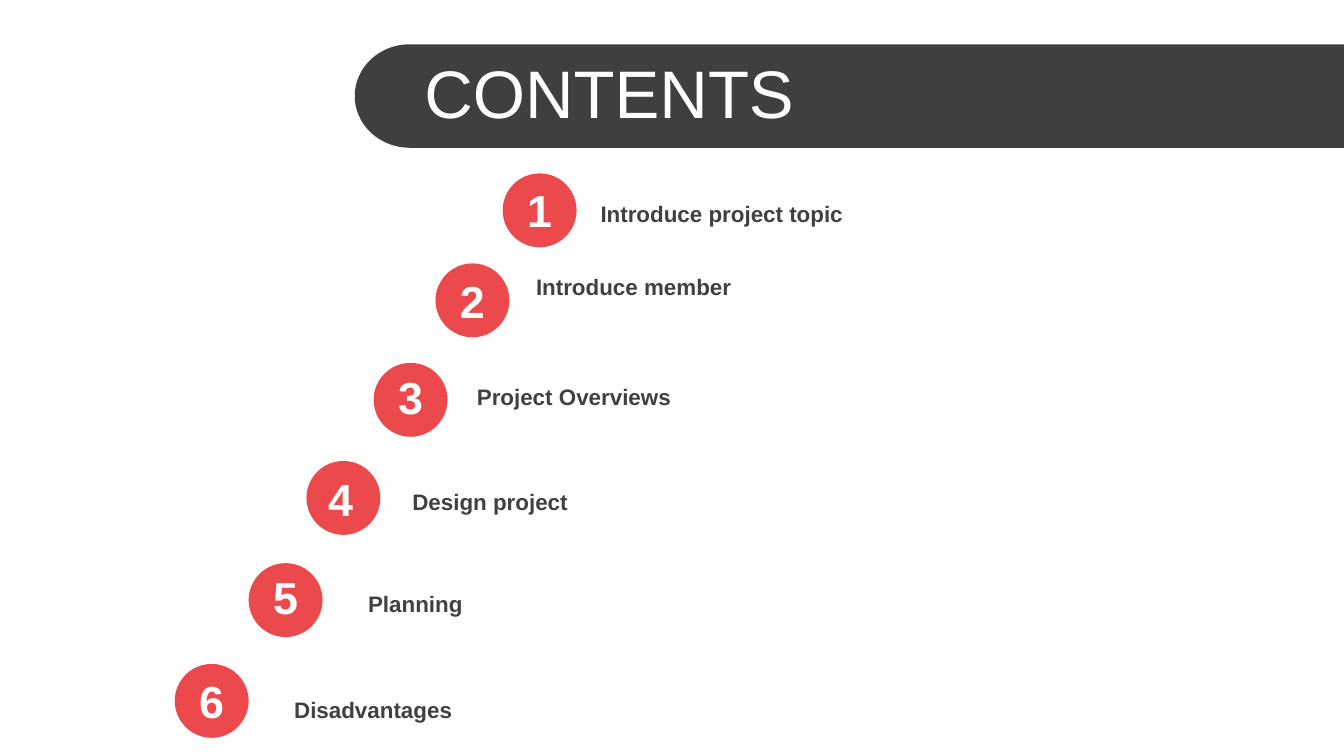
from copy import deepcopy
from dataclasses import dataclass
from math import cos, pi, sin

from pptx import Presentation
from pptx.dml.color import RGBColor
from pptx.enum import shapes, text
from pptx.util import Inches, Pt


@dataclass(frozen=True)
class Theme:
    font: str = "Arial"
    banner: RGBColor = RGBColor(0x3F, 0x3F, 0x3F)
    accent: RGBColor = RGBColor(0xEB, 0x49, 0x4B)
    ink: RGBColor = RGBColor(0x40, 0x40, 0x40)
    white: RGBColor = RGBColor(0xFF, 0xFF, 0xFF)
    title_size: int = 36
    number_size: int = 24
    label_size: int = 12


THEME = Theme()
CIRCLE = 0.55
NUMBER_HEIGHT = 0.5
LINE_HEIGHT = 0.2
LABEL_PADDING = 0.1

# circle left and top, number shift (x, y), label shift (x, y), label width, label
ITEMS = [
    (3.74, 1.29, (0, 0.02), (0.63, 0.15), 5.04, "Introduce project topic"),
    (3.24, 1.96, (0, 0.03), (0.65, 0.02), 5.04, "Introduce member\n"),
    (2.78, 2.70, (0, 0), (0.67, 0.10), 3.53, "Project Overviews\n"),
    (2.28, 3.43, (-0.02, 0.03), (0.69, 0.15), 3.53, "Design project"),
    (1.85, 4.19, (0, 0), (0.79, 0.15), 5.15, "Planning"),
    (1.30, 4.94, (0, 0.02), (0.79, 0.19), 5.49, "Disadvantages"),
]


def paint(shape, color):
    shape.shadow.inherit = False
    shape.fill.solid()
    shape.fill.fore_color.rgb = color
    shape.line.fill.background()


def add_text(slide, box, words, size, color, bold=False, align=text.PP_ALIGN.LEFT):
    """Text box with one run; a final newline becomes a line break of the same size."""
    frame = slide.shapes.add_textbox(*map(Inches, box)).text_frame
    frame.word_wrap = True
    frame.vertical_anchor = text.MSO_ANCHOR.MIDDLE
    paragraph = frame.paragraphs[0]
    paragraph.alignment = align
    run = paragraph.add_run()
    run.text = words.rstrip("\n")
    run.font.name = THEME.font
    run.font.size = Pt(size)
    run.font.bold = bold
    run.font.color.rgb = color
    if words.endswith("\n"):
        paragraph.add_line_break()
        paragraph._p[-1].append(deepcopy(run._r.rPr))
    return frame


def add_banner(slide, left, top, width, height):
    """Bar with a rounded left end that runs to the right edge."""
    radius_x, radius_y, steps = 0.41, height / 2, 60
    center_x, center_y = left + radius_x, top + radius_y
    angles = [pi / 2 + pi * step / steps for step in range(steps + 1)]
    arc = [(Inches(center_x + radius_x * cos(angle)),
            Inches(center_y + radius_y * sin(angle))) for angle in angles]
    right, bottom = Inches(left + width), Inches(top + height)
    builder = slide.shapes.build_freeform(right, Inches(top))
    builder.add_line_segments([(right, bottom), *arc], close=True)
    paint(builder.convert_to_shape(), THEME.banner)
    add_text(slide, (left + 0.42, top + 0.04, width - 0.42, 0.63),
             "CONTENTS", THEME.title_size, THEME.white)


def add_item(slide, number, left, top, number_shift, label_shift, label_width, label):
    circle = slide.shapes.add_shape(
        shapes.MSO_SHAPE.OVAL, *map(Inches, (left, top, CIRCLE, CIRCLE)))
    paint(circle, THEME.accent)
    number_x, number_y = number_shift
    label_x, label_y = label_shift
    label_height = LABEL_PADDING + LINE_HEIGHT * (1 + label.count("\n"))
    frames = [
        add_text(slide, (left + number_x, top + number_y, CIRCLE, NUMBER_HEIGHT),
                 str(number), THEME.number_size, THEME.white, True,
                 text.PP_ALIGN.CENTER),
        add_text(slide, (left + label_x, top + label_y, label_width, label_height),
                 label, THEME.label_size, THEME.ink, True),
    ]
    for frame in frames:
        frame.auto_size = text.MSO_AUTO_SIZE.SHAPE_TO_FIT_TEXT


def main():
    presentation = Presentation()
    presentation.slide_width = Inches(10)
    presentation.slide_height = Inches(10 * 9 / 16)
    slide = presentation.slides.add_slide(presentation.slide_layouts[6])
    add_banner(slide, 2.64, 0.33, 7.36, 0.77)
    for number, item in enumerate(ITEMS, start=1):
        add_item(slide, number, *item)
    presentation.save("out.pptx")


if __name__ == "__main__":
    main()
